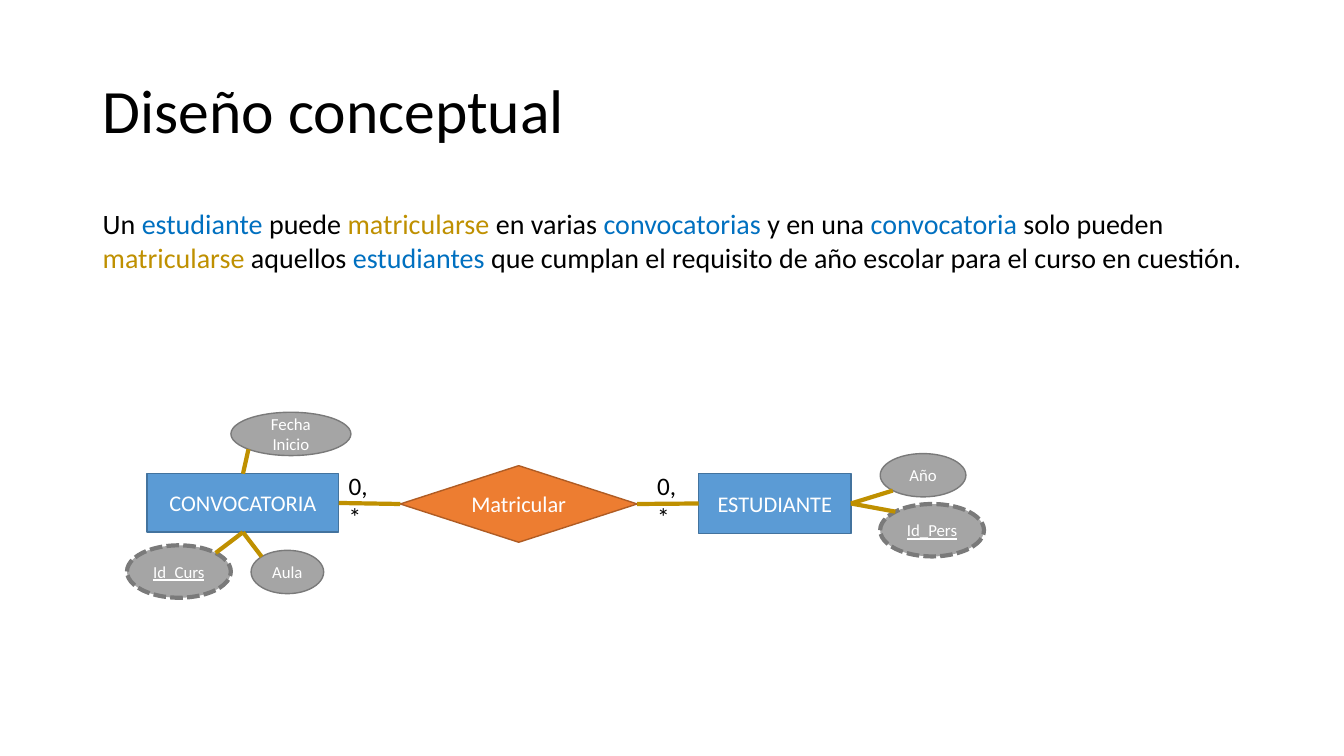
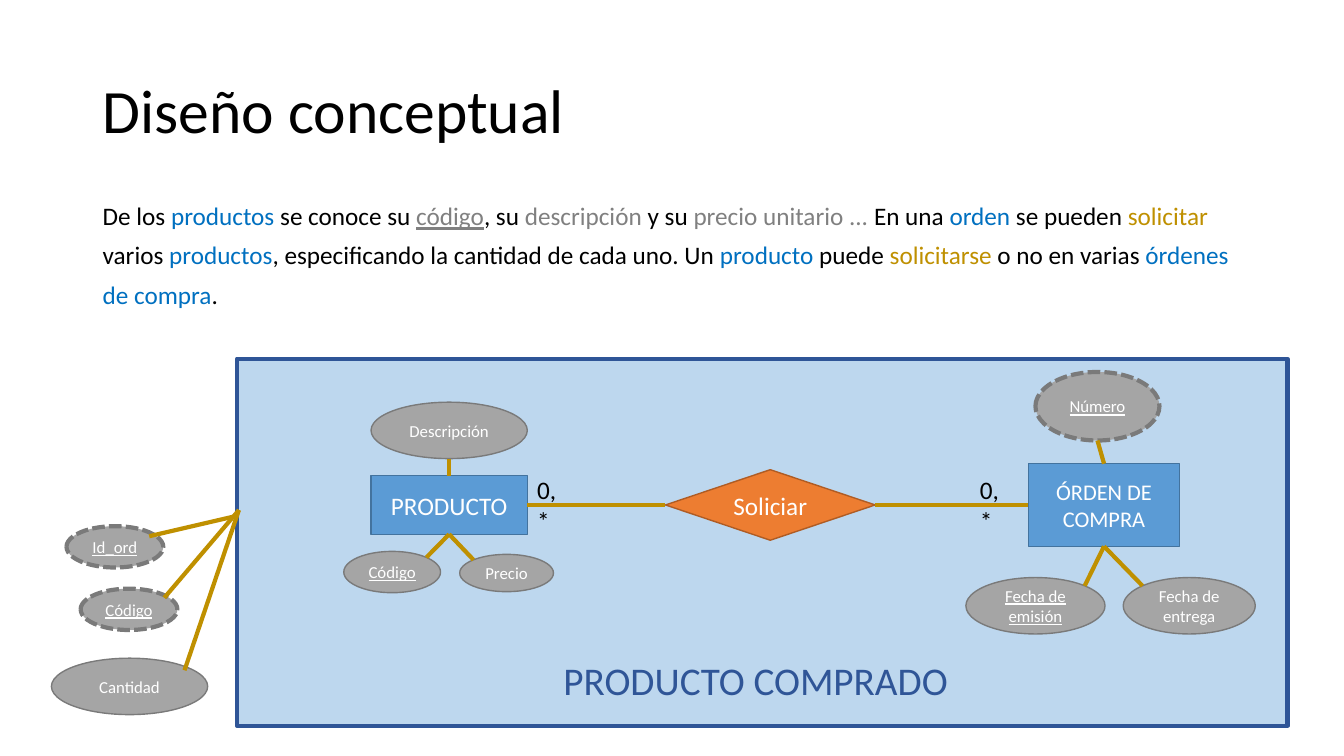
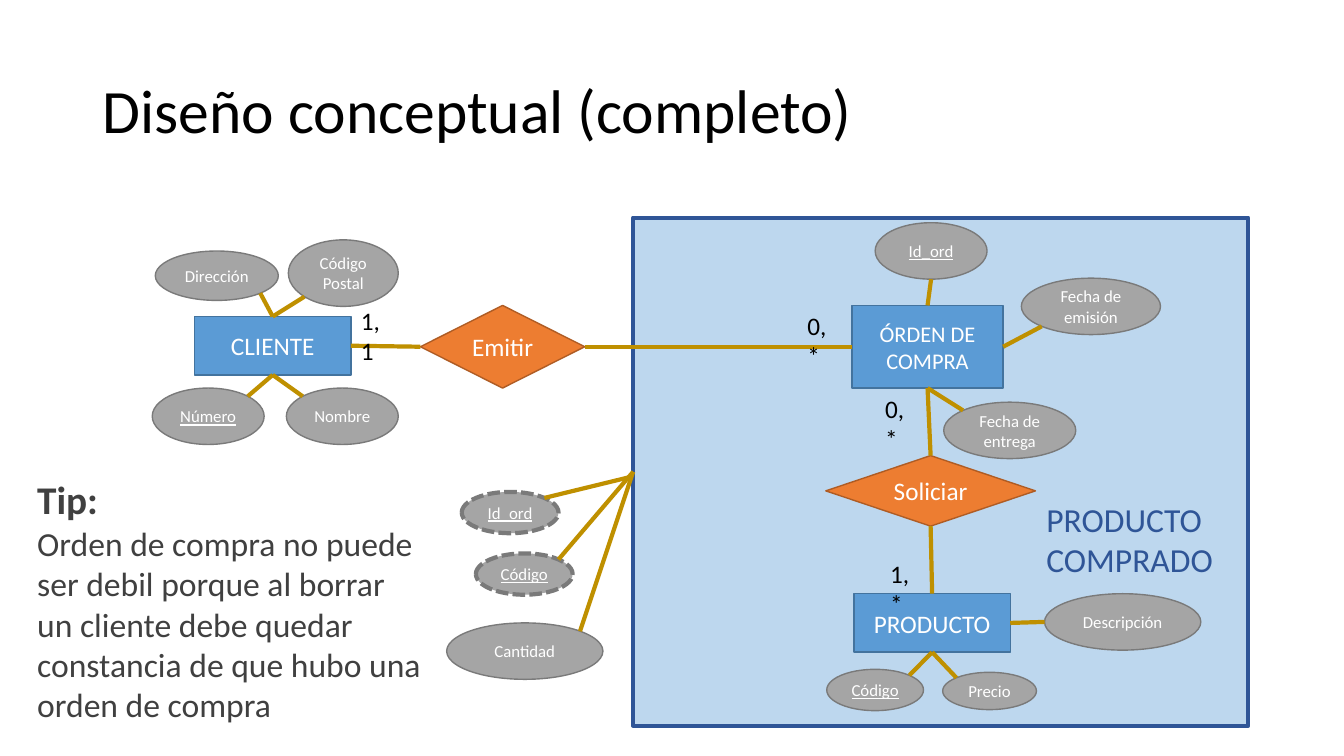
from math import sqrt

from lxml import etree
from pptx import Presentation
from pptx.dml.color import RGBColor
from pptx.enum.dml import MSO_LINE
from pptx.enum.shapes import MSO_CONNECTOR, MSO_SHAPE
from pptx.enum.text import MSO_ANCHOR, MSO_AUTO_SIZE, PP_ALIGN
from pptx.oxml.ns import qn
from pptx.util import Inches, Pt

RECT, DIAMOND, ELLIPSE = MSO_SHAPE.RECTANGLE, MSO_SHAPE.DIAMOND, MSO_SHAPE.OVAL
STRAIGHT = MSO_CONNECTOR.STRAIGHT
DASH = MSO_LINE.SQUARE_DOT
MIDDLE, TOP = MSO_ANCHOR.MIDDLE, MSO_ANCHOR.TOP
CENTER = PP_ALIGN.CENTER
FIT_SHAPE = MSO_AUTO_SIZE.SHAPE_TO_FIT_TEXT


class Theme:
    font = "Calibri"
    title, caption, tip, label, detail = 44, 28, 24, 18, 12
    black, white, dark = "000000", "FFFFFF", "404040"
    navy, gold = "2F5597", "BF9000"
    # Word colours in the statement text
    words = {"text": black, "entity": "0070C0", "relation": gold,
             "attr": "808080", "key": "808080"}
    # kind: shape, fill, line, line width, text size
    nodes = {
        "frame": (RECT, "BDD7EE", navy, 3, caption),
        "entity": (RECT, "5B9BD5", "43739E", 1, 18),
        "entity_small": (RECT, "5B9BD5", "43739E", 1, 16),
        "relation": (DIAMOND, "ED7D31", "AF5C24", 1, 18),
        "relation_small": (DIAMOND, "ED7D31", "AF5C24", 1, 16),
        "attr": (ELLIPSE, "A5A5A5", "7A7A7A", 1, detail),
        "key": (ELLIPSE, "A5A5A5", "7A7A7A", 1, detail),
        "weak_key": (ELLIPSE, "A5A5A5", "7A7A7A", 3, detail),
    }


# Content. nodes: name -> kind, label, left, top, width, height
# links: two ends, each (name, compass side) or a point (x, y)
SLIDES = [
    {
        "title": "Diseño conceptual",
        "body": {
            "box": (0.92, 2, 11.5, 1.02), "size": 20, "spacing": 1,
            "runs": [
                ("Un ", "text"), ("estudiante ", "entity"), ("puede ", "text"),
                ("matricularse ", "relation"), ("en varias ", "text"),
                ("convocatorias ", "entity"), ("y en una ", "text"),
                ("convocatoria ", "entity"), ("solo pueden ", "text"),
                ("matricularse ", "relation"), ("aquellos ", "text"),
                ("estudiantes ", "entity"),
                ("que cumplan el requisito de año escolar para el curso"
                 " en cuestión.", "text"),
            ],
        },
        "nodes": {
            "call": ("entity_small", "CONVOCATORIA", 1.46, 4.7, 1.9, 0.58),
            "start": ("attr", "Fecha Inicio", 2.29, 4.09, 1.19, 0.43),
            "room": ("attr", "Aula", 2.49, 5.46, 0.72, 0.43),
            "course_id": ("weak_key", "Id_Curs", 1.26, 5.41, 1.03, 0.52),
            "enrol": ("relation_small", "Matricular", 3.97, 4.62, 2.35, 0.76),
            "student": ("entity_small", "ESTUDIANTE", 6.93, 4.7, 1.51, 0.59),
            "year": ("attr", "Año", 8.73, 4.5, 0.85, 0.43),
            "person_id": ("weak_key", "Id_Pers", 8.73, 5, 1.03, 0.52),
        },
        "links": [
            (("call", "s"), ("room", "nw")),
            (("call", "n"), ("start", "sw")),
            (("call", "s"), ("course_id", "ne")),
            (("call", "e"), ("enrol", "w")),
            (("enrol", "e"), ("student", "w")),
            (("student", "e"), ("year", "sw")),
            (("student", "e"), ("person_id", "nw")),
        ],
        "cardinalities": [("0,*", 3.36, 4.62), ("0,*", 6.42, 4.62)],
    },
    {
        "title": "Diseño conceptual",
        "body": {
            "box": (0.92, 1.85, 11.5, 0.9), "size": 18, "spacing": 1.3,
            "runs": [
                ("De los ", "text"), ("productos ", "entity"),
                ("se conoce su ", "text"), ("código", "key"),
                (", su ", "text"), ("descripción ", "attr"),
                ("y su ", "text"), ("precio unitario ... ", "attr"),
                ("En una ", "text"), ("orden", "entity"),
                (" se pueden ", "text"), ("solicitar ", "relation"),
                ("varios ", "text"), ("productos", "entity"),
                (", especificando la cantidad de cada uno. Un ", "text"),
                ("producto ", "entity"), ("puede ", "text"),
                ("solicitarse ", "relation"), ("o no en varias ", "text"),
                ("órdenes de compra", "entity"), (".", "text"),
            ],
        },
        "nodes": {
            "bought": ("frame", "", 2.35, 3.56, 10.42, 3.64),
            "order": ("entity_small", "ÓRDEN DE COMPRA", 10.2, 4.6, 1.5, 0.82),
            "issued": ("key", "Fecha de emisión", 9.58, 5.73, 1.38, 0.56),
            "delivered": ("attr", "Fecha de entrega", 11.14, 5.73, 1.31, 0.56),
            "number": ("weak_key", "Número", 10.27, 3.69, 1.23, 0.68),
            "product": ("entity", "PRODUCTO", 3.68, 4.72, 1.55, 0.58),
            "request": ("relation", "Soliciar", 6.6, 4.66, 2.08, 0.7),
            "code": ("key", "Código", 3.41, 5.47, 0.96, 0.41),
            "description": ("attr", "Descripción", 3.68, 3.99, 1.55, 0.56),
            "price": ("attr", "Precio", 4.56, 5.5, 0.93, 0.37),
            "quantity": ("attr", "Cantidad", 0.51, 6.53, 1.55, 0.56),
            "bought_code": ("weak_key", "Código", 0.8, 5.84, 0.96, 0.41),
            "bought_order": ("weak_key", "Id_ord", 0.66, 5.22, 0.96, 0.41),
        },
        "links": [
            (("order", "n"), ("number", "s")),
            (("order", "s"), ("issued", "ne")),
            (("order", "s"), ("delivered", "nw")),
            (("product", "e"), ("request", "w")),
            (("request", "e"), ("order", "w")),
            (("product", "s"), ("price", "nw")),
            (("product", "n"), ("description", "s")),
            (("product", "s"), ("code", "ne")),
            ((2.37, 5.06), (1.83, 6.65)),
            ((2.37, 5.06), (1.63, 5.93)),
            ((2.34, 5.12), (1.48, 5.32)),
        ],
        "cardinalities": [("0,*", 9.62, 4.66), ("0,*", 5.23, 4.66)],
        "caption": {"box": (5.49, 6.46, 4.02, 0.57), "size": Theme.caption,
                    "wrap": False},
    },
    {
        "title": "Diseño conceptual (completo)",
        "nodes": {
            "bought": ("frame", "", 6.28, 2.16, 6.1, 5.04),
            "order": ("entity_small", "ÓRDEN DE COMPRA", 8.45, 3.03, 1.5, 0.82),
            "client": ("entity", "CLIENTE", 1.93, 3.14, 1.55, 0.58),
            "issue": ("relation", "Emitir", 4.17, 3.03, 1.63, 0.82),
            "number": ("key", "Número", 1.51, 3.85, 1.11, 0.56),
            "name": ("attr", "Nombre", 2.84, 3.85, 1.11, 0.56),
            "postcode": ("attr", "Código Postal", 2.86, 2.38, 1.09, 0.66),
            "address": ("attr", "Dirección", 1.54, 2.49, 1.22, 0.49),
            "issued": ("attr", "Fecha de emisión", 10.13, 2.76, 1.38, 0.56),
            "delivered": ("attr", "Fecha de entrega", 9.36, 3.99, 1.31, 0.56),
            "order_id": ("key", "Id_ord", 8.68, 2.21, 1.11, 0.56),
            "product": ("entity", "PRODUCTO", 8.47, 5.89, 1.55, 0.58),
            "request": ("relation", "Soliciar", 8.19, 4.52, 2.08, 0.7),
            "code": ("key", "Código", 8.2, 6.64, 0.96, 0.41),
            "description": ("attr", "Descripción", 10.36, 5.89, 1.55, 0.56),
            "price": ("attr", "Precio", 9.35, 6.67, 0.93, 0.37),
            "quantity": ("attr", "Cantidad", 4.43, 6.18, 1.55, 0.56),
            "bought_code": ("weak_key", "Código", 4.72, 5.49, 0.96, 0.41),
            "bought_order": ("weak_key", "Id_ord", 4.58, 4.88, 0.96, 0.41),
        },
        "links": [
            (("client", "e"), ("issue", "w")),
            (("issue", "e"), ("order", "w")),
            (("order", "e"), ("issued", "sw")),
            (("order", "s"), ("delivered", "nw")),
            (("order", "n"), ("order_id", "s")),
            (("client", "n"), ("postcode", "sw")),
            (("client", "n"), ("address", "se")),
            (("client", "s"), ("name", "nw")),
            (("client", "s"), ("number", "ne")),
            (("order", "s"), ("request", "n")),
            (("request", "s"), ("product", "n")),
            (("product", "s"), ("price", "nw")),
            (("product", "s"), ("code", "ne")),
            (("product", "e"), ("description", "w")),
            (("bought", "w"), ("quantity", "ne")),
            (("bought", "w"), ("bought_code", "ne")),
            ((6.26, 4.73), ("bought_order", "ne")),
        ],
        "cardinalities": [("1,1", 3.48, 2.98), ("0,*", 7.91, 3.03),
                          ("0,*", 8.68, 3.85), ("1,*", 8.73, 5.49)],
        "caption": {"box": (10.28, 4.9, 1.97, 0.91), "size": Theme.tip,
                    "wrap": True},
        "tip": ("Tip:", "Orden de compra no puede ser debil porque al borrar"
                " un cliente debe quedar constancia de que hubo una orden"
                " de compra"),
    },
]
CAPTION = "PRODUCTO COMPRADO"
SITES = {"n": 0, "w": 1, "s": 2, "e": 3}


def rgb(code):
    return RGBColor.from_string(code)


def set_font(font, size, color, bold=False, underline=False):
    font.name, font.size, font.color.rgb = Theme.font, Pt(size), rgb(color)
    font.bold, font.underline = bold, underline


def add_text(slide, box, paragraphs, wrap=True, anchor=TOP, spacing=None):
    """Each paragraph is (text, size, colour, bold)."""
    sp = slide.shapes.add_textbox(*map(Inches, box))
    tf = sp.text_frame
    tf.word_wrap, tf.vertical_anchor = wrap, anchor
    if not wrap:
        tf.auto_size = FIT_SHAPE
    for i, (text, size, color, bold) in enumerate(paragraphs):
        p = tf.add_paragraph() if i else tf.paragraphs[0]
        p.text, p.line_spacing = text, spacing
        set_font(p.font, size, color, bold)
    return tf


def add_body(slide, box, size, spacing, runs):
    tf = add_text(slide, box, [("", size, Theme.black, False)], spacing=spacing)
    for text, role in runs:
        r = tf.paragraphs[0].add_run()
        r.text = text
        r.font.color.rgb = rgb(Theme.words[role])
        if role == "key":
            r.font.underline = True


def add_node(slide, kind, label, *box):
    form, fill, line, width, size = Theme.nodes[kind]
    sp = slide.shapes.add_shape(form, *map(Inches, box))
    sp.shadow.inherit = False
    sp.fill.solid()
    sp.fill.fore_color.rgb = rgb(fill)
    sp.line.color.rgb, sp.line.width = rgb(line), Pt(width)
    if kind == "weak_key":
        sp.line.dash_style = DASH
    if label:
        tf = sp.text_frame
        tf.word_wrap, tf.vertical_anchor = True, MIDDLE
        p = tf.paragraphs[0]
        p.text, p.alignment = label, CENTER
        set_font(p.font, size, Theme.white, underline=kind.endswith("key"))
    return sp


def end_point(end, shapes):
    """Point of a link end; diagonal sides lie on the ellipse at 45 degrees."""
    name, side = end
    if name not in shapes:
        return Inches(name), Inches(side)
    sp = shapes[name]
    dx = ("e" in side) - ("w" in side)
    dy = ("s" in side) - ("n" in side)
    reach = 2 * sqrt(dx * dx + dy * dy)
    return (int(sp.left + sp.width / 2 + dx * sp.width / reach),
            int(sp.top + sp.height / 2 + dy * sp.height / reach))


def add_link(slide, start, end, shapes):
    line = slide.shapes.add_connector(
        STRAIGHT, *end_point(start, shapes), *end_point(end, shapes))
    line.line.color.rgb, line.line.width = rgb(Theme.gold), Pt(3)
    etree.SubElement(line._element.spPr, qn("a:effectLst"))
    # Glue ends that meet a rectangle or a diamond
    for (name, side), glue in ((start, line.begin_connect),
                               (end, line.end_connect)):
        if name in shapes and shapes[name].auto_shape_type != ELLIPSE:
            glue(shapes[name], SITES[side])


def build_slide(prs, data):
    slide = prs.slides.add_slide(prs.slide_layouts[6])
    add_text(slide, (0.92, 0.4, 11.5, 1.45),
             [(data["title"], Theme.title, Theme.black, False)],
             anchor=MIDDLE, spacing=0.9)
    if "body" in data:
        add_body(slide, **data["body"])

    # Diagram
    shapes = {name: add_node(slide, *node)
              for name, node in data["nodes"].items()}
    for start, end in data["links"]:
        add_link(slide, start, end, shapes)
    for text, left, top in data["cardinalities"]:
        add_text(slide, (left, top, 0.51, 0.4),
                 [(text, Theme.label, Theme.black, False)], wrap=False)

    # Frame caption and tip
    if "caption" in data:
        cap = data["caption"]
        add_text(slide, cap["box"],
                 [(CAPTION, cap["size"], Theme.navy, False)], cap["wrap"])
    if "tip" in data:
        head, text = data["tip"]
        add_text(slide, (0.27, 4.67, 4.02, 2.59),
                 [(head, Theme.caption, Theme.dark, True),
                  (text, Theme.tip, Theme.dark, False)])


def main():
    prs = Presentation()
    prs.slide_width, prs.slide_height = Inches(13.33), Inches(7.5)
    for data in SLIDES:
        build_slide(prs, data)
    prs.save("out.pptx")


if __name__ == "__main__":
    main()
